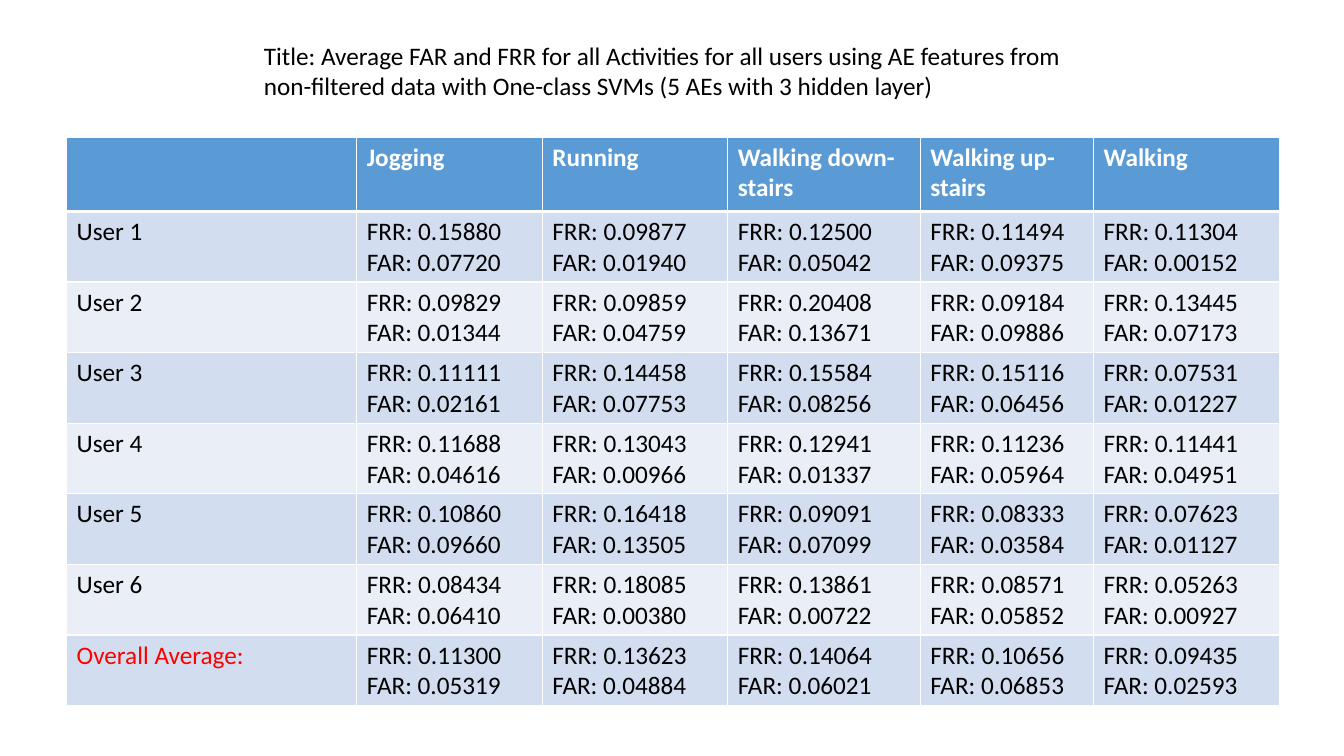
from lxml import etree
from pptx import Presentation
from pptx.dml.color import RGBColor
from pptx.enum.text import MSO_AUTO_SIZE
from pptx.oxml.ns import qn
from pptx.util import Inches, Pt

FIT = MSO_AUTO_SIZE.SHAPE_TO_FIT_TEXT
COLS, ROWS = 160, 90

TITLE = ("Title: Average FAR and FRR for all Activities for all users using AE "
         "features from non-filtered data with One-class SVMs (5 AEs with 3 hidden layer)")
HEADS = ["", "Jogging", "Running", "Walking down-stairs", "Walking up-stairs", "Walking"]
RATES = [
    ("User 1", "0.15880 0.07720 0.09877 0.01940 0.12500 0.05042 0.11494 0.09375 0.11304 0.00152"),
    ("User 2", "0.09829 0.01344 0.09859 0.04759 0.20408 0.13671 0.09184 0.09886 0.13445 0.07173"),
    ("User 3", "0.11111 0.02161 0.14458 0.07753 0.15584 0.08256 0.15116 0.06456 0.07531 0.01227"),
    ("User 4", "0.11688 0.04616 0.13043 0.00966 0.12941 0.01337 0.11236 0.05964 0.11441 0.04951"),
    ("User 5", "0.10860 0.09660 0.16418 0.13505 0.09091 0.07099 0.08333 0.03584 0.07623 0.01127"),
    ("User 6", "0.08434 0.06410 0.18085 0.00380 0.13861 0.00722 0.08571 0.05852 0.05263 0.00927"),
    ("Overall Average:",
     "0.11300 0.05319 0.13623 0.04884 0.14064 0.06021 0.10656 0.06853 0.09435 0.02593"),
]


def paint(code):
    return RGBColor.from_string(code)


class Deck:
    font, size = "Calibri", 18
    black, white, red = "000000", "FFFFFF", "FF0000"
    head, bands = "5B9BD5", ("D2DEEF", "EAEFF7")

    def __init__(self):
        self.prs = Presentation()
        self.prs.slide_width = Inches(13.33)
        self.prs.slide_height = Inches(7.5)
        self.slide = self.prs.slides.add_slide(self.prs.slide_layouts[6])

    def wide(self, cols):
        return round(self.prs.slide_width * cols / COLS)

    def tall(self, rows):
        return round(self.prs.slide_height * rows / ROWS)

    def words(self, frame, lines, color, bold=False):
        for i, line in enumerate(lines):
            para = frame.paragraphs[0] if i == 0 else frame.add_paragraph()
            run = para.add_run()
            run.text = line
            run.font.name = self.font
            run.font.size = Pt(self.size)
            run.font.bold = bold
            run.font.color.rgb = paint(color)

    def text(self, left, top, width, height, lines):
        box = self.slide.shapes.add_textbox(
            self.wide(left), self.tall(top), self.wide(width), self.tall(height))
        box.text_frame.word_wrap = True
        box.text_frame.auto_size = FIT
        self.words(box.text_frame, lines, self.black)

    def edge(self, cell, side, width):
        props = cell._tc.get_or_add_tcPr()
        line = etree.SubElement(props, qn("a:ln" + side), w=str(Pt(width)))
        fill = etree.SubElement(line, qn("a:solidFill"))
        etree.SubElement(fill, qn("a:srgbClr"), val=self.white)

    def cell(self, cell, row, lines, color):
        for side in "LRTB":
            thick = (row, side) in ((0, "B"), (1, "T"))
            self.edge(cell, side, 3 if thick else 1)
        cell.fill.solid()
        cell.fill.fore_color.rgb = paint(self.bands[(row - 1) % 2] if row else self.head)
        self.words(cell.text_frame, lines, color, bold=row == 0)

    def table(self, left, top, widths, heights, heads, rates):
        grid = self.slide.shapes.add_table(
            len(heights), len(widths), self.wide(left), self.tall(top),
            self.wide(sum(widths)), self.tall(sum(heights))).table
        grid.horz_banding = False
        for col, width in zip(grid.columns, widths):
            col.width = self.wide(width)
        for row, height in zip(grid.rows, heights):
            row.height = self.tall(height)
        for c, head in enumerate(heads):
            self.cell(grid.cell(0, c), 0, [head] if head else [], self.white)
        for r, (name, nums) in enumerate(rates, 1):
            last = r == len(rates)
            self.cell(grid.cell(r, 0), r, [name], self.red if last else self.black)
            nums = nums.split()
            for c, (frr, far) in enumerate(zip(nums[::2], nums[1::2]), 1):
                lines = [f"FRR: {frr}", f"FAR: {far}"]
                self.cell(grid.cell(r, c), r, lines, self.black)


def main():
    deck = Deck()
    deck.text(30.24, 4.2, 97.56, 8.5, [TITLE])
    deck.table(7.92, 16.32, [34.56, 22.08, 22.08, 22.92, 20.64, 22.2],
               [8.85] + [8.4] * len(RATES), HEADS, RATES)
    deck.prs.save("out.pptx")


if __name__ == "__main__":
    main()
